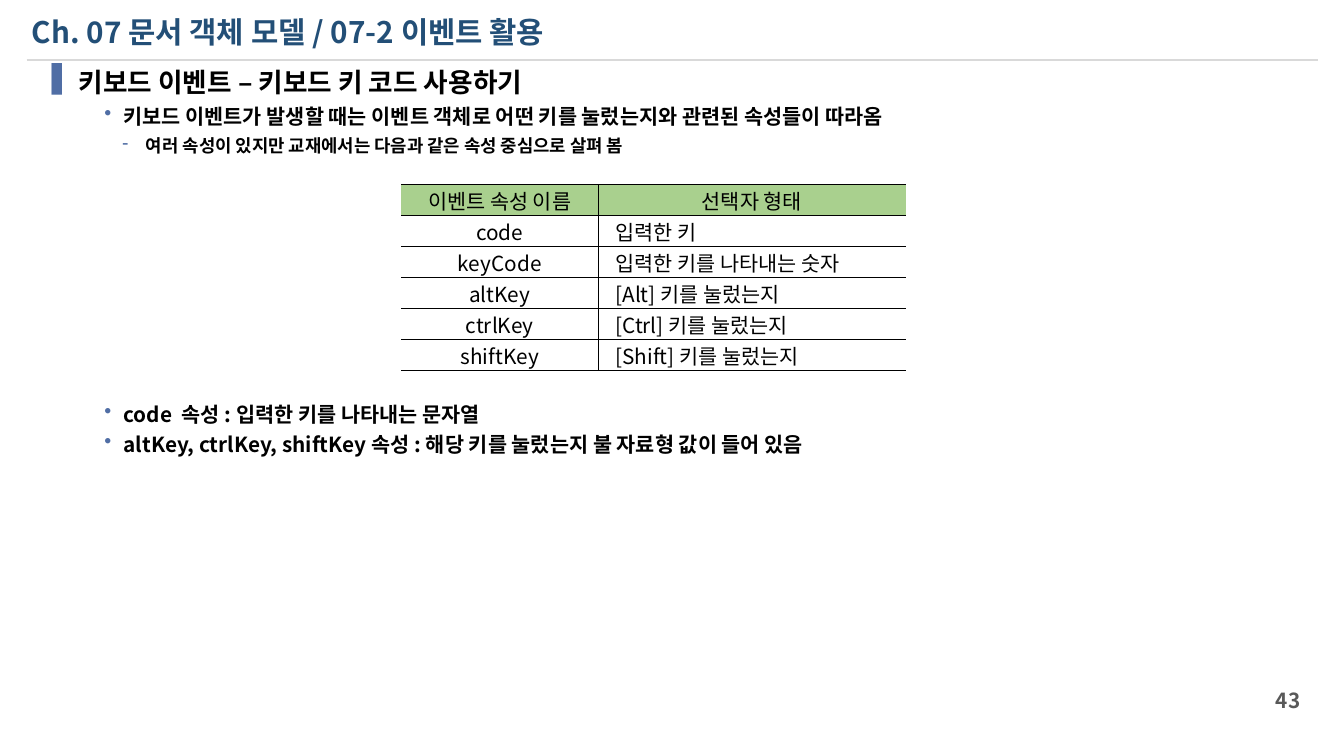
import pptx
import pptx.util
import pptx.dml.color
import pptx.enum.shapes
import pptx.enum.text
import pptx.oxml
import pptx.oxml.ns
from lxml import etree

Inches = pptx.util.Inches
Pt = pptx.util.Pt
RGBColor = pptx.dml.color.RGBColor
Align = pptx.enum.text.PP_ALIGN
Anchor = pptx.enum.text.MSO_ANCHOR
qn = pptx.oxml.ns.qn

BLACK = RGBColor(0x00, 0x00, 0x00)
NAVY = RGBColor(0x23, 0x4F, 0x77)
BLUE = RGBColor(0x50, 0x6E, 0xA5)
GRAY = RGBColor(0x59, 0x59, 0x59)
SILVER = RGBColor(0xD9, 0xD9, 0xD9)
GREEN = RGBColor(0xA9, 0xD0, 0x8E)

# level: bullet, size, left margin, hanging indent
LEVELS = {
    1: ("▐", 18, 0.35, 0.35),
    2: ("•", 14, 0.77, 0.18),
    3: ("-", 12, 0.98, 0.22),
}

INTRO = [
    (1, "키보드 이벤트 – 키보드 키 코드 사용하기"),
    (2, "키보드 이벤트가 발생할 때는 이벤트 객체로 어떤 키를 눌렀는지와 관련된 속성들이 따라옴"),
    (3, "여러 속성이 있지만 교재에서는 다음과 같은 속성 중심으로 살펴 봄"),
]
NOTES = [
    (2, "code  속성 : 입력한 키를 나타내는 문자열"),
    (2, "altKey, ctrlKey, shiftKey 속성 : 해당 키를 눌렀는지 불 자료형 값이 들어 있음"),
]
ROWS = [
    ("이벤트 속성 이름", "선택자 형태"),
    ("code", "입력한 키"),
    ("keyCode", "입력한 키를 나타내는 숫자"),
    ("altKey", "[Alt] 키를 눌렀는지"),
    ("ctrlKey", "[Ctrl] 키를 눌렀는지"),
    ("shiftKey", "[Shift] 키를 눌렀는지"),
]


class Page:
    face = "Noto Sans CJK KR"

    def __init__(self, slide):
        self.slide = slide

    def style(self, para, size, color, bold=True):
        font = para.font
        font.name, font.size, font.bold = self.face, Pt(size), bold
        font.color.rgb = color
        props = para._p.get_or_add_pPr().find(qn("a:defRPr"))
        for run in para.runs:
            run.font.name = self.face
        for node in [props] + [run.font._element for run in para.runs]:
            etree.SubElement(node, qn("a:ea"), typeface=self.face)

    def frame(self, left, top, width, height, anchor=Anchor.TOP):
        box = self.slide.shapes.add_textbox(
            Inches(left), Inches(top), Inches(width), Inches(height))
        frame = box.text_frame
        frame.word_wrap = True
        frame.vertical_anchor = anchor
        return frame

    def text(self, words, place, size, color, align=Align.LEFT):
        para = self.frame(*place, anchor=Anchor.MIDDLE).paragraphs[0]
        para.text = words
        para.alignment = align
        self.style(para, size, color)

    def bullet(self, para, mark, left, hang):
        props = para._p.get_or_add_pPr()
        props.set("marL", str(Inches(left)))
        props.set("indent", str(-Inches(hang)))
        tint = etree.Element(qn("a:buClr"))
        etree.SubElement(tint, qn("a:srgbClr"), val=str(BLUE))
        sign = etree.Element(qn("a:buChar"), char=mark)
        rest = props.find(qn("a:defRPr"))
        rest.addprevious(tint)
        rest.addprevious(sign)

    def outline(self, items, place):
        frame = self.frame(*place)
        for i, (level, words) in enumerate(items):
            para = frame.add_paragraph() if i else frame.paragraphs[0]
            mark, size, left, hang = LEVELS[level]
            para.text = words
            para.level = level - 1
            para.line_spacing = 0.8
            para.space_before = Pt(7 if i else 0)
            self.style(para, size, BLACK)
            self.bullet(para, mark, left, hang)

    def line(self, start, end, color, width):
        rule = self.slide.shapes.add_connector(
            pptx.enum.shapes.MSO_CONNECTOR.STRAIGHT,
            *map(Inches, start + end))
        rule.line.color.rgb = color
        rule.line.width = Pt(width)
        etree.SubElement(rule._element.spPr, qn("a:effectLst"))

    def border(self, cell, sides):
        """Draw thin black lines on the given sides and clear the others."""
        props = cell._tc.get_or_add_tcPr()
        for i, side in enumerate("LRTB"):
            edge = etree.Element(qn("a:ln" + side), w=str(Pt(0.5)))
            if side in sides:
                fill = etree.SubElement(edge, qn("a:solidFill"))
                etree.SubElement(fill, qn("a:srgbClr"), val=str(BLACK))
            else:
                etree.SubElement(edge, qn("a:noFill"))
            props.insert(i, edge)

    def table(self, rows, left, top, widths, height):
        grid = self.slide.shapes.add_table(
            len(rows), len(widths), Inches(left), Inches(top),
            Inches(sum(widths)), Inches(height * len(rows))).table
        grid.first_row = grid.horz_banding = False
        for col, width in zip(grid.columns, widths):
            col.width = Inches(width)
        for r, row in enumerate(rows):
            grid.rows[r].height = Inches(height)
            for c, words in enumerate(row):
                self.cell(grid.cell(r, c), words, r == 0, c == 0)

    def cell(self, cell, words, head, first):
        mid = head or first
        cell.margin_left = Inches(0.01 if mid else 0.16)
        cell.margin_right = cell.margin_top = Inches(0.01)
        cell.margin_bottom = 0
        cell.vertical_anchor = Anchor.MIDDLE
        if head:
            cell.fill.solid()
            cell.fill.fore_color.rgb = GREEN
        else:
            cell.fill.background()
        self.border(cell, "RTB" if first else "LTB")
        para = cell.text_frame.paragraphs[0]
        para.text = words
        para.alignment = Align.CENTER if mid else Align.LEFT
        self.style(para, 14, BLACK, bold=False)


def main():
    deck = pptx.Presentation()
    deck.slide_width, deck.slide_height = Inches(12.6), Inches(7.09)
    page = Page(deck.slides.add_slide(deck.slide_layouts[6]))
    page.line((0.25, 0.56), (12.36, 0.56), SILVER, 1.5)
    page.text("43", (11.35, 6.38, 0.94, 0.38), 14, GRAY, Align.RIGHT)
    page.outline(INTRO, (0.29, 0.63, 12.01, 1.1))
    page.outline(NOTES, (0.29, 3.76, 12.01, 0.75))
    page.text("Ch. 07 문서 객체 모델 / 07-2 이벤트 활용",
              (0.2, 0.08, 11.86, 0.44), 20, NAVY)
    page.table(ROWS, 3.76, 1.73, (1.85, 2.88), 0.29)
    deck.save("out.pptx")


if __name__ == "__main__":
    main()
